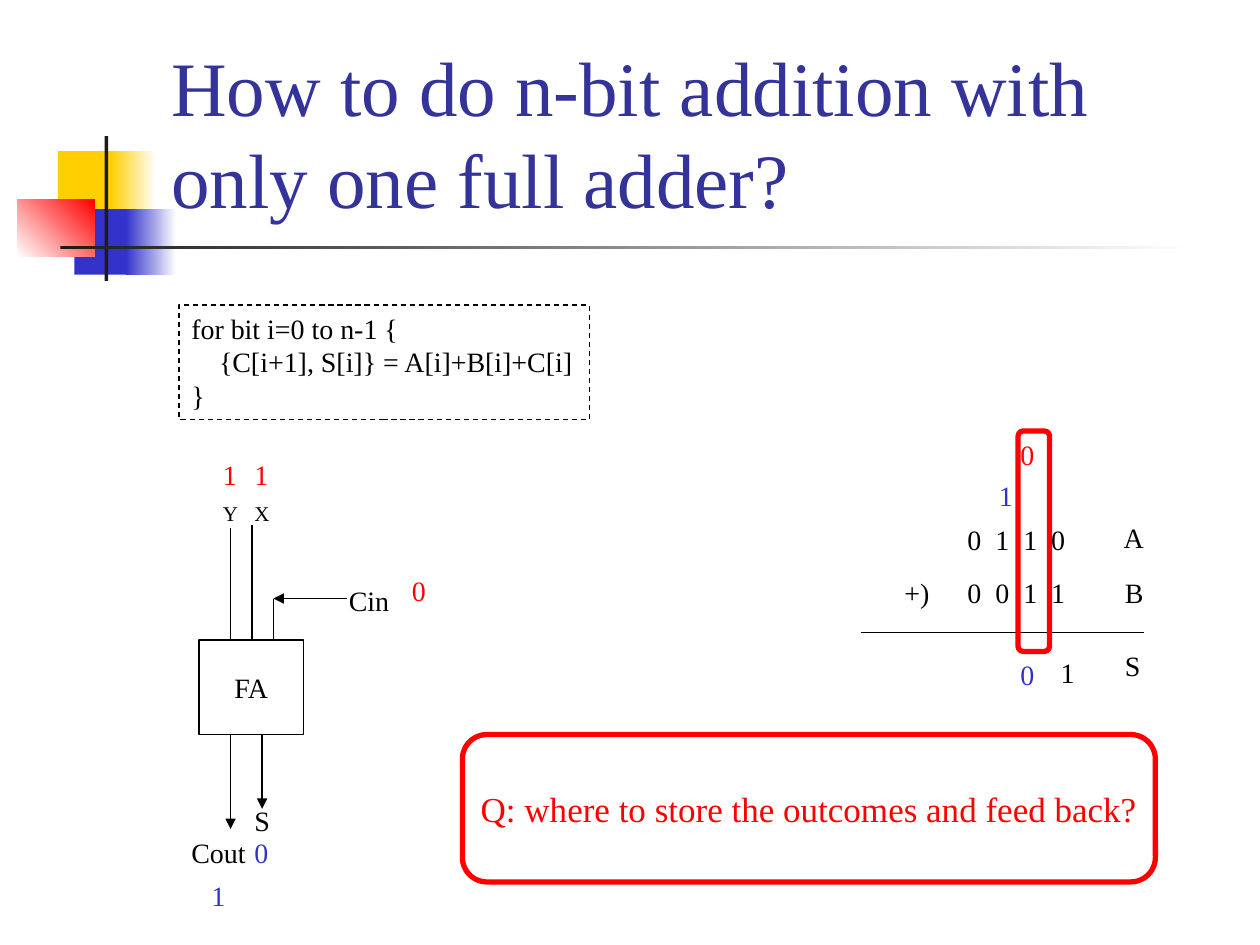
from lxml.etree import SubElement
from pptx import Presentation
from pptx.dml.color import RGBColor
from pptx.enum.dml import MSO_LINE
from pptx.enum.shapes import MSO_CONNECTOR, MSO_SHAPE
from pptx.enum.text import MSO_ANCHOR, MSO_AUTO_SIZE, PP_ALIGN
from pptx.oxml.ns import qn
from pptx.util import Inches, Pt

FONT = "Times New Roman"
BLACK = RGBColor(0x00, 0x00, 0x00)
WHITE = RGBColor(0xFF, 0xFF, 0xFF)
RED = RGBColor(0xFF, 0x00, 0x00)
BLUE = RGBColor(0x33, 0x33, 0xCC)
YELLOW = RGBColor(0xFF, 0xCF, 0x01)
CHARCOAL = RGBColor(0x1C, 0x1C, 0x1C)
TITLE_BLUE = RGBColor(0x33, 0x33, 0x99)


def write(box, lines, size, color, align=PP_ALIGN.LEFT, anchor=MSO_ANCHOR.TOP, wrap=False):
    frame = box.text_frame
    frame.word_wrap = wrap
    frame.vertical_anchor = anchor
    frame.text = "\n".join(lines)
    for para in frame.paragraphs:
        para.alignment = align
        para.font.name = FONT
        para.font.size = Pt(size)
        para.font.color.rgb = color


def add_label(shapes, text, left, top, width=0.32, height=0.37, size=16, color=BLACK):
    box = shapes.add_textbox(Inches(left), Inches(top), Inches(width), Inches(height))
    write(box, [text], size, color)
    box.text_frame.auto_size = MSO_AUTO_SIZE.SHAPE_TO_FIT_TEXT


def add_line(shapes, start, end, arrow=False):
    line = shapes.add_connector(MSO_CONNECTOR.STRAIGHT, *map(Inches, start + end))
    line.line.color.rgb = BLACK
    line.line.width = Pt(0.75)
    if arrow:
        SubElement(line.line._get_or_add_ln(), qn("a:tailEnd"), type="triangle")
    SubElement(line._element.spPr, qn("a:effectLst"))


def add_outline(shapes, kind, left, top, width, height, color=BLACK, weight=0.75):
    shape = shapes.add_shape(kind, Inches(left), Inches(top), Inches(width), Inches(height))
    shape.shadow.inherit = False
    shape.fill.background()
    shape.line.color.rgb = color
    shape.line.width = Pt(weight)
    return shape


def add_block(shapes, left, top, width, height, start, end=None, angle=0):
    block = shapes.add_shape(MSO_SHAPE.RECTANGLE, Inches(left), Inches(top),
                             Inches(width), Inches(height))
    block.shadow.inherit = False
    block.line.fill.background()
    if end is None:
        block.fill.solid()
        block.fill.fore_color.rgb = start
        return
    block.fill.gradient()
    block.fill.gradient_angle = angle
    for stop, color in zip(block.fill.gradient_stops, (start, end)):
        stop.color.rgb = color


def add_decoration(shapes, left, top):
    # Coloured squares, then the crossing bars
    add_block(shapes, left + 0.32, top + 0.12, 0.48, 0.52, YELLOW)
    add_block(shapes, left + 0.74, top + 0.12, 0.36, 0.52, YELLOW, WHITE)
    add_block(shapes, left + 0.45, top + 0.58, 0.46, 0.52, BLUE)
    add_block(shapes, left + 0.86, top + 0.58, 0.4, 0.52, BLUE, WHITE)
    add_block(shapes, left, top + 0.5, 0.61, 0.46, WHITE, RED, 45)
    add_block(shapes, left + 0.69, top, 0.03, 1.15, CHARCOAL)
    add_block(shapes, left + 0.34, top + 0.87, 9, 0.03, CHARCOAL, WHITE)


def add_title(shapes, left, top, width, height):
    box = shapes.add_textbox(Inches(left), Inches(top), Inches(width), Inches(height))
    write(box, ["How to do n-bit addition with only one full adder?"], 44, TITLE_BLUE,
          anchor=MSO_ANCHOR.BOTTOM, wrap=True)


def add_code(shapes, left, top, width, height):
    box = add_outline(shapes, MSO_SHAPE.RECTANGLE, left, top, width, height)
    box.line.dash_style = MSO_LINE.DASH
    write(box, ["for bit i=0 to n-1 {", "{C[i+1], S[i]} = A[i]+B[i]+C[i]", "}"], 16, BLACK)
    body = box.text_frame.paragraphs[1]
    body._p.get_or_add_pPr().set("marL", str(Inches(0.22)))


def add_sum(shapes, left, top):
    group = shapes.add_group_shape().shapes
    # Operands and sum line
    for text, x, y, width in (("0  1  1  0", 0.75, 0.68, 0.98), ("0  0  1  1", 0.75, 1.1, 0.98),
                              ("+)", 0.25, 1.1, 0.4), ("A", 1.99, 0.66, 0.36),
                              ("B", 2, 1.1, 0.35), ("S", 2, 1.68, 0.32)):
        add_label(group, text, left + x, top + y, width)
    add_line(group, (left, top + 1.6), (left + 2.25, top + 1.6))
    # Current column, carries and sum bits
    add_outline(shapes, MSO_SHAPE.ROUNDED_RECTANGLE, left + 1.25, top, 0.25, 1.75, RED, 3)
    for bit, x, y, color in (("0", 1.17, 0, RED), ("1", 1, 0.33, BLUE),
                             ("0", 1.17, 1.75, BLUE), ("1", 1.49, 1.73, BLACK)):
        add_label(shapes, bit, left + x, top + y, 0.31, color=color)


def add_adder(shapes, left, top):
    group = shapes.add_group_shape().shapes
    adder_top, adder_bottom = top + 1.5, top + 2.25
    cout_x, x_x, s_x, cin_x = left + 0.41, left + 0.58, left + 0.66, left + 0.75
    adder = add_outline(group, MSO_SHAPE.RECTANGLE, left + 0.16, adder_top, 0.83, 0.75)
    write(adder, ["FA"], 16, BLACK, PP_ALIGN.CENTER, MSO_ANCHOR.MIDDLE)
    # Input wires
    for x, wire_top in ((cout_x, 0.61), (x_x, 0.59), (cin_x, 1.17)):
        add_line(group, (x, adder_top), (x, top + wire_top))
    add_line(group, (left + 1.33, top + 1.17), (cin_x, top + 1.17), arrow=True)
    # Output wires
    for x, wire_end in ((s_x, 2.84), (cout_x, 3)):
        add_line(group, (x, adder_bottom), (x, top + wire_end), arrow=True)
    # Port names
    for text, x, y, width, height, size in (("X", 0.5, 0.34, 0.32, 0.3, 12),
                                            ("Y", 0.25, 0.34, 0.32, 0.3, 12),
                                            ("S", 0.5, 2.75, 0.32, 0.37, 16),
                                            ("Cin", 1.25, 1, 0.52, 0.37, 16),
                                            ("Cout", 0, 3, 0.63, 0.37, 16)):
        add_label(group, text, left + x, top + y, width, height, size)
    # Port values
    for bit, x, y, color in (("1", 0.5, 0, RED), ("1", 0.25, 0, RED), ("0", 1.75, 0.92, RED),
                             ("1", 0.16, 3.34, BLUE), ("0", 0.5, 3, BLUE)):
        add_label(shapes, bit, left + x, top + y, 0.31, color=color)


def add_question(shapes, left, top, width, height):
    box = add_outline(shapes, MSO_SHAPE.ROUNDED_RECTANGLE, left, top, width, height, RED, 3)
    write(box, ["Q: where to store the outcomes and feed back?"], 20, RED,
          PP_ALIGN.CENTER, MSO_ANCHOR.MIDDLE)


deck = Presentation()
deck.slide_width, deck.slide_height = Inches(10), Inches(7.5)
page = deck.slides.add_slide(deck.slide_layouts[6])
add_decoration(page.shapes, 0.14, 1.08)
add_title(page.shapes, 1.26, 0.23, 8.52, 1.6)
add_sum(page.shapes, 6.83, 3.42)
add_code(page.shapes, 1.42, 2.42, 3.26, 0.91)
add_adder(page.shapes, 1.42, 3.58)
add_question(page.shapes, 3.67, 5.83, 5.5, 1.17)
deck.save("out.pptx")
